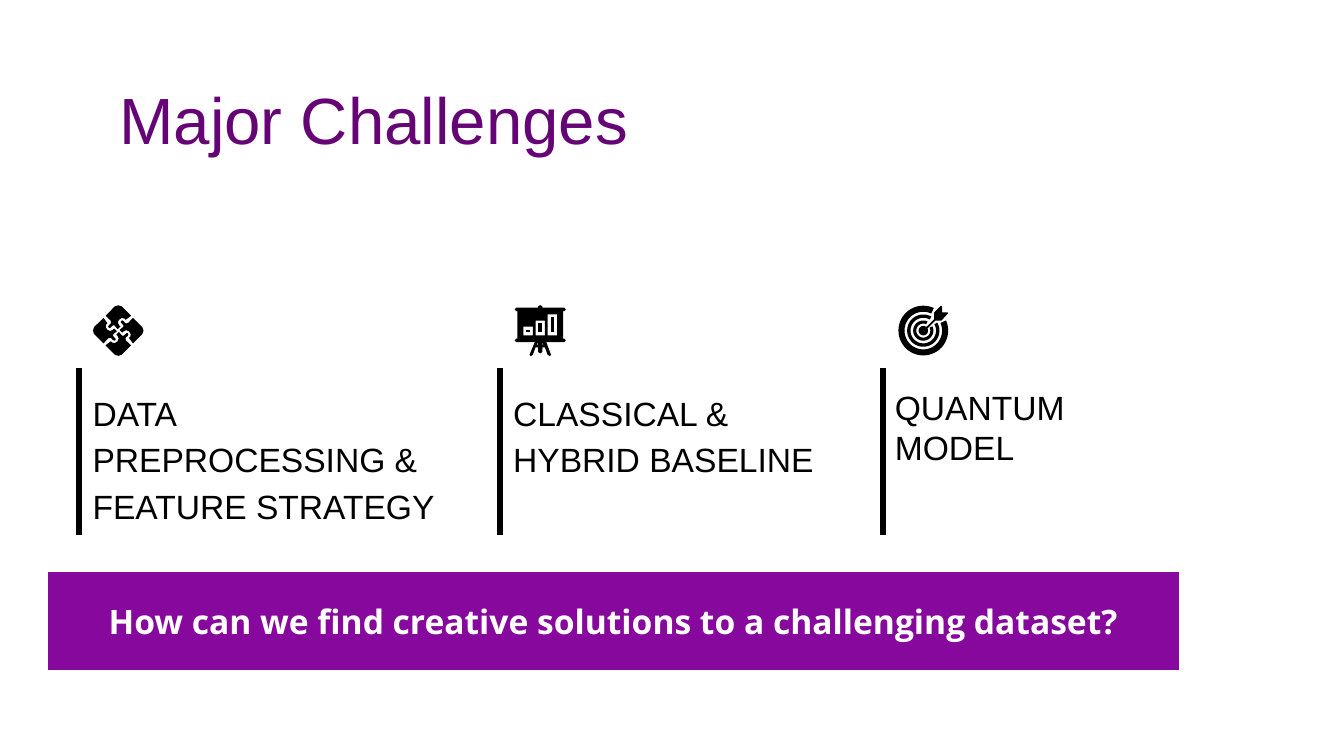
from math import cos, radians, sin

from lxml import etree
from pptx import Presentation
from pptx.dml.color import RGBColor
from pptx.enum.shapes import MSO_CONNECTOR, MSO_SHAPE
from pptx.enum.text import MSO_ANCHOR, PP_ALIGN
from pptx.oxml.ns import qn
from pptx.util import Inches, Pt

STRAIGHT = MSO_CONNECTOR.STRAIGHT
RECTANGLE = MSO_SHAPE.RECTANGLE
MIDDLE = MSO_ANCHOR.MIDDLE
CENTER = PP_ALIGN.CENTER

COLORS = {"title": "650575", "ink": "000000", "banner": "87089C", "white": "FFFFFF"}
TITLE = "Major Challenges"
QUESTION = "How can we find creative solutions to a challenging dataset?"

SLIDE_WIDTH = Inches(10)
SLIDE_HEIGHT = SLIDE_WIDTH * 9 // 16
RULE_TOP, RULE_BOTTOM = 2.74, 3.98
LABEL_TOP, LABEL_HEIGHT = 2.78, 0.47
ICON_Y = 2.46

# Icon outlines are in hundredths of an inch around the icon's centre.
PUZZLE_PIECE = [
    (-11, -9.5), (-18, -2.5), (-18.8, 0), (-18, 2.5), (-11, 9.5), (-7.5, 5.8),
    (-6, 5.3), (-5, 5.8), (-4, 7), (-3, 7.5), (-2, 7), (-2, 6), (-3.8, 4),
    (-3.8, 2.8), (-1, 0.5), (-3, -1.5), (-4, -0.5), (-6, 0.3), (-8, -0.5),
    (-9.3, -2.5), (-9, -4.5), (-8, -5.5),
]
ARROW = [
    (3, -1.5), (9, -7.5), (13.5, -7.5), (18.5, -13), (18, -13.5),
    (14, -13.5), (14, -18), (13, -18.5), (8, -13.5), (8, -8.5), (2, -2.5),
]
TARGET_RINGS = [  # outer radius, inner radius, start and end angle
    (18.5, 14, -24, 295), (12, 9.5, -30, 300), (7.5, 5.2, -25, 295),
]
BOARD_LEGS = [
    [(-4, 8.5), (-8, 18), (-7, 19), (-5.5, 18), (-3.5, 12.5), (-1.5, 12.5),
     (-1.5, 16), (0, 17), (1.5, 16), (1.5, 12.5), (3.5, 12.5), (5.5, 18),
     (7, 19), (8, 18), (4.5, 8.5), (1.5, 8.5), (2.5, 10.5), (1.5, 10.5),
     (1.5, 8.5), (-1.5, 8.5), (-1.5, 10.5), (-2.5, 10.5), (-1.5, 8.5)],
]
BOARD_OUTLINE = [
    (-1.5, -17), (-1.5, -18), (0, -19), (1.5, -18), (1.5, -17), (18, -17),
    (19, -15.7), (18, -14.5), (17, -14.5), (17, 6), (18, 6), (19, 7.3),
    (18, 8.5), (-18, 8.5), (-19, 7.3), (-18, 6), (-17, 6), (-17, -14.5),
    (-18, -14.5), (-19, -15.7), (-18, -17),
]
BOARD_BARS = [(-9, -3), (0, -7.5), (9, -12)]  # centre and top of each window
BAR_BOTTOM = 3.5


def box(left, top, right, bottom):
    return [(left, top), (right, top), (right, bottom), (left, bottom)]


def arc(radius, start, end, steps=48):
    angles = [radians(start + (end - start) * i / steps) for i in range(steps + 1)]
    return [(radius * cos(a), radius * sin(a)) for a in angles]


def puzzle():
    """Four shapes: one piece turned by quarter turns."""
    pieces = [PUZZLE_PIECE]
    for _ in range(3):
        pieces.append([(-y, x) for x, y in pieces[-1]])
    return [[piece] for piece in pieces]


def board():
    """A presentation board whose windows are holes holding solid bars."""
    contours = [BOARD_OUTLINE]
    bars = []
    for x, top in BOARD_BARS:
        contours.append(box(x - 3.5, top, x + 3.5, BAR_BOTTOM))
        bars.append([box(x - 1.3, top + 2.2, x + 1.3, BAR_BOTTOM - 2.2)])
    return [contours, BOARD_LEGS] + bars


def target():
    rings = [[arc(outer, start, end) + arc(inner, end, start)]
             for outer, inner, start, end in TARGET_RINGS]
    return rings + [[arc(3.5, -25, 295) + ARROW[::-1]]]


CHALLENGES = [  # label, rule x, label left, width, icon x, icon, spacing, space after
    ("DATA PREPROCESSING & FEATURE STRATEGY", 0.59, 0.59, 2.88, 0.88, puzzle, 1.15, 12),
    ("CLASSICAL & HYBRID BASELINE", 3.72, 3.72, 2.56, 4.02, board, 1.15, 12),
    ("QUANTUM MODEL", 6.57, 6.56, 2.05, 6.87, target, 1, 0),
]


def color(name):
    return RGBColor.from_string(COLORS[name])


def write(shape, text, size, font, ink, bold=False):
    """Fill a shape with one wrapped paragraph and return that paragraph."""
    frame = shape.text_frame
    frame.word_wrap = True
    frame.margin_left = frame.margin_right = Inches(0.1)
    frame.margin_top = frame.margin_bottom = Inches(0.1)
    paragraph = frame.paragraphs[0]
    run = paragraph.add_run()
    run.text = text
    run.font.size = Pt(size)
    run.font.name = font
    run.font.bold = bold
    run.font.color.rgb = color(ink)
    return paragraph


def draw_icon(slide, center_x, parts):
    group = slide.shapes.add_group_shape()
    for contours in parts:
        outlines = [[(Inches(center_x + x / 100), Inches(ICON_Y + y / 100))
                     for x, y in contour] for contour in contours]
        builder = group.shapes.build_freeform(*outlines[0][0])
        builder.add_line_segments(outlines[0][1:], close=True)
        for outline in outlines[1:]:
            builder.move_to(*outline[0])
            builder.add_line_segments(outline[1:], close=True)
        part = builder.convert_to_shape()
        part.shadow.inherit = False
        part.fill.solid()
        part.fill.fore_color.rgb = color("ink")
        part.line.fill.background()


def draw_rule(slide, x):
    rule = slide.shapes.add_connector(
        STRAIGHT, Inches(x), Inches(RULE_TOP), Inches(x), Inches(RULE_BOTTOM))
    rule.line.color.rgb = color("ink")
    rule.line.width = Pt(3)
    etree.SubElement(rule._element.spPr, qn("a:effectLst"))


def main():
    prs = Presentation()
    prs.slide_width, prs.slide_height = SLIDE_WIDTH, SLIDE_HEIGHT
    slide = prs.slides.add_slide(prs.slide_layouts[6])

    title = slide.shapes.add_textbox(Inches(0.79), Inches(0.49), Inches(8.43), Inches(0.63))
    write(title, TITLE, 35, "Arial", "title")

    for text, rule_x, left, width, icon_x, icon, spacing, after in CHALLENGES:
        label = slide.shapes.add_textbox(
            Inches(left), Inches(LABEL_TOP), Inches(width), Inches(LABEL_HEIGHT))
        paragraph = write(label, text, 18, "Arial", "ink")
        paragraph.line_spacing = spacing
        paragraph.space_after = Pt(after)
        draw_rule(slide, rule_x)
        draw_icon(slide, icon_x, icon())

    banner = slide.shapes.add_shape(
        RECTANGLE, Inches(0.35), Inches(4.25), Inches(8.43), Inches(0.74))
    banner.shadow.inherit = False
    banner.fill.solid()
    banner.fill.fore_color.rgb = color("banner")
    banner.line.color.rgb = color("white")
    banner.line.width = Pt(0.75)
    banner.text_frame.vertical_anchor = MIDDLE
    write(banner, QUESTION, 18, "Open Sans", "white", bold=True).alignment = CENTER

    prs.save("out.pptx")


if __name__ == "__main__":
    main()
